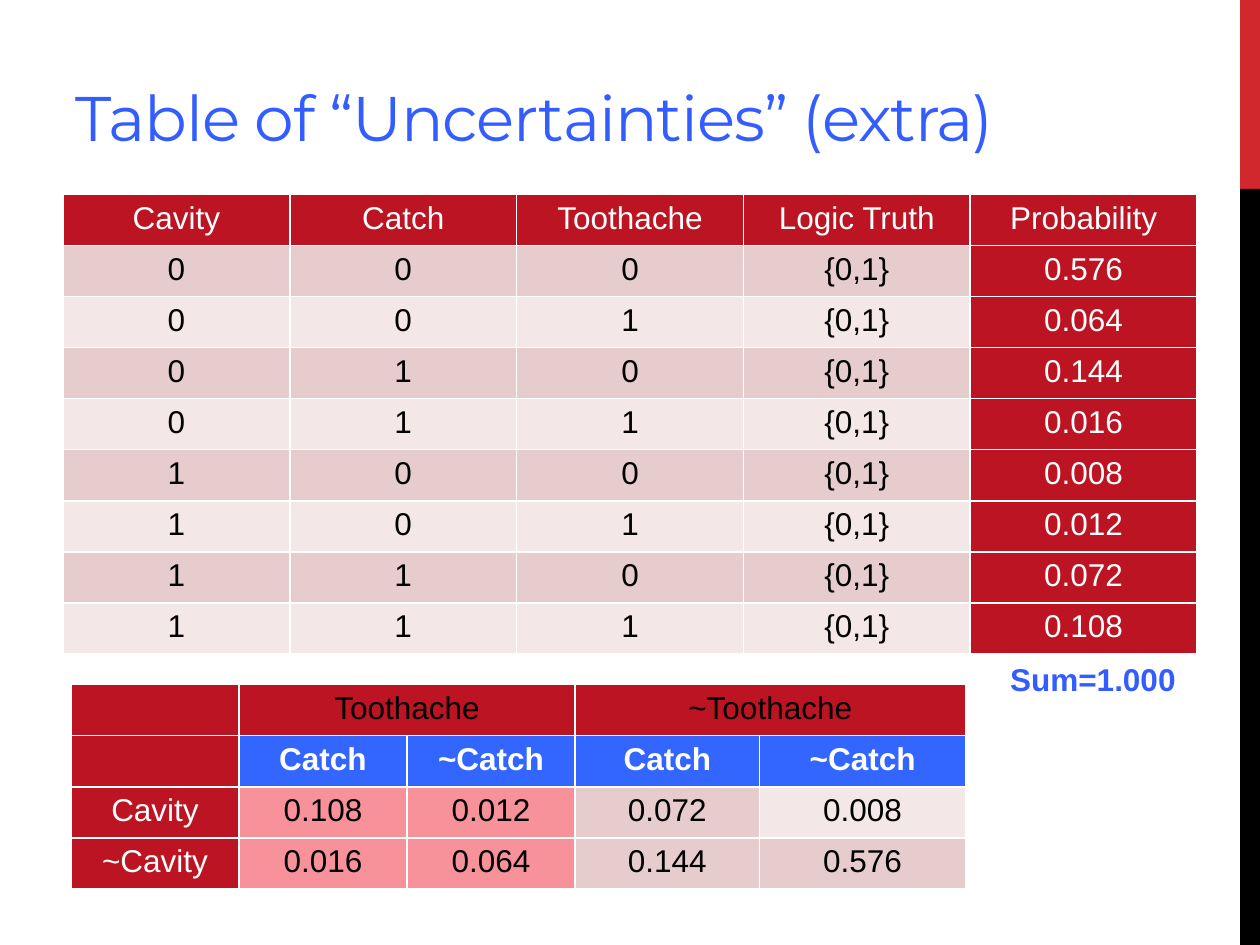
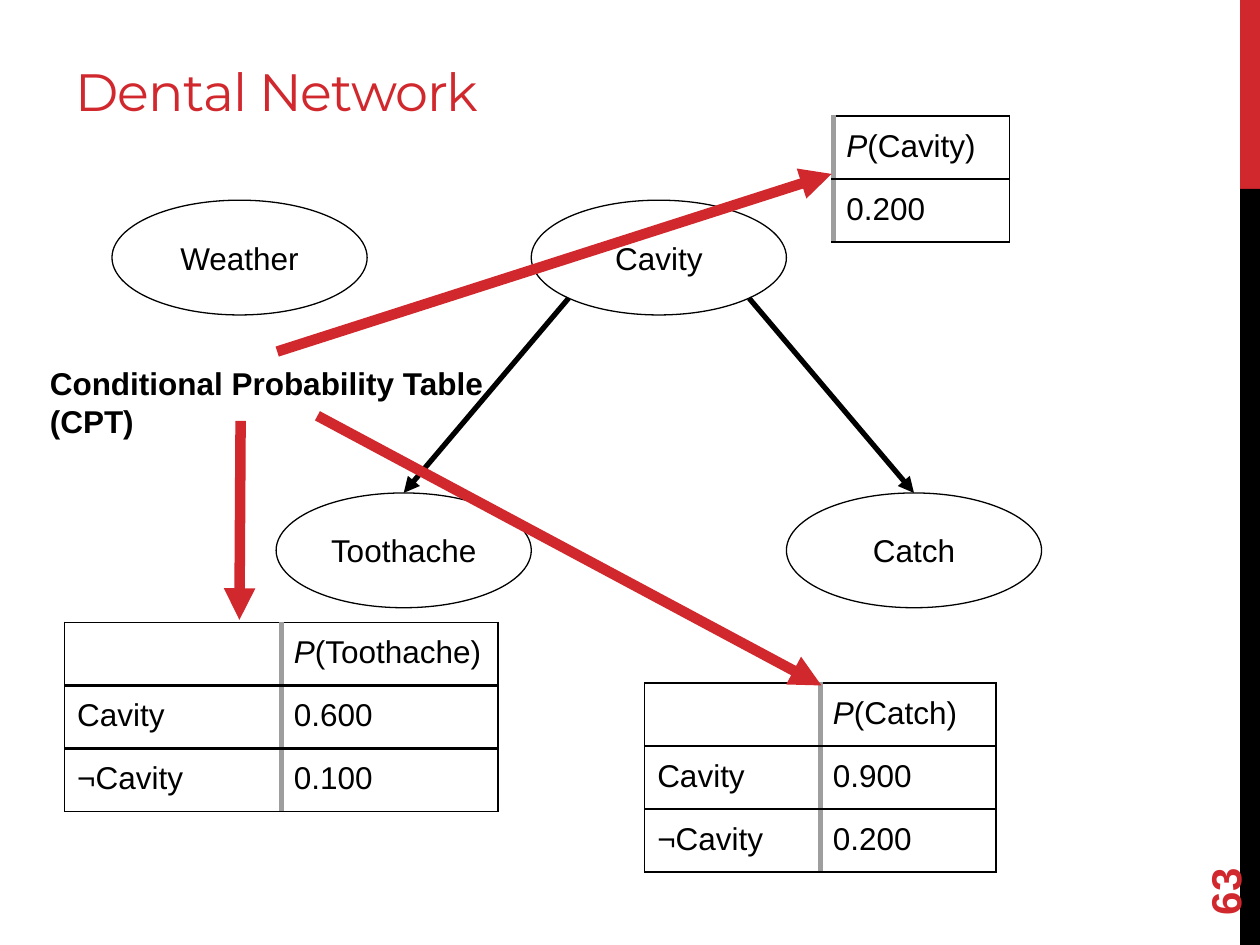
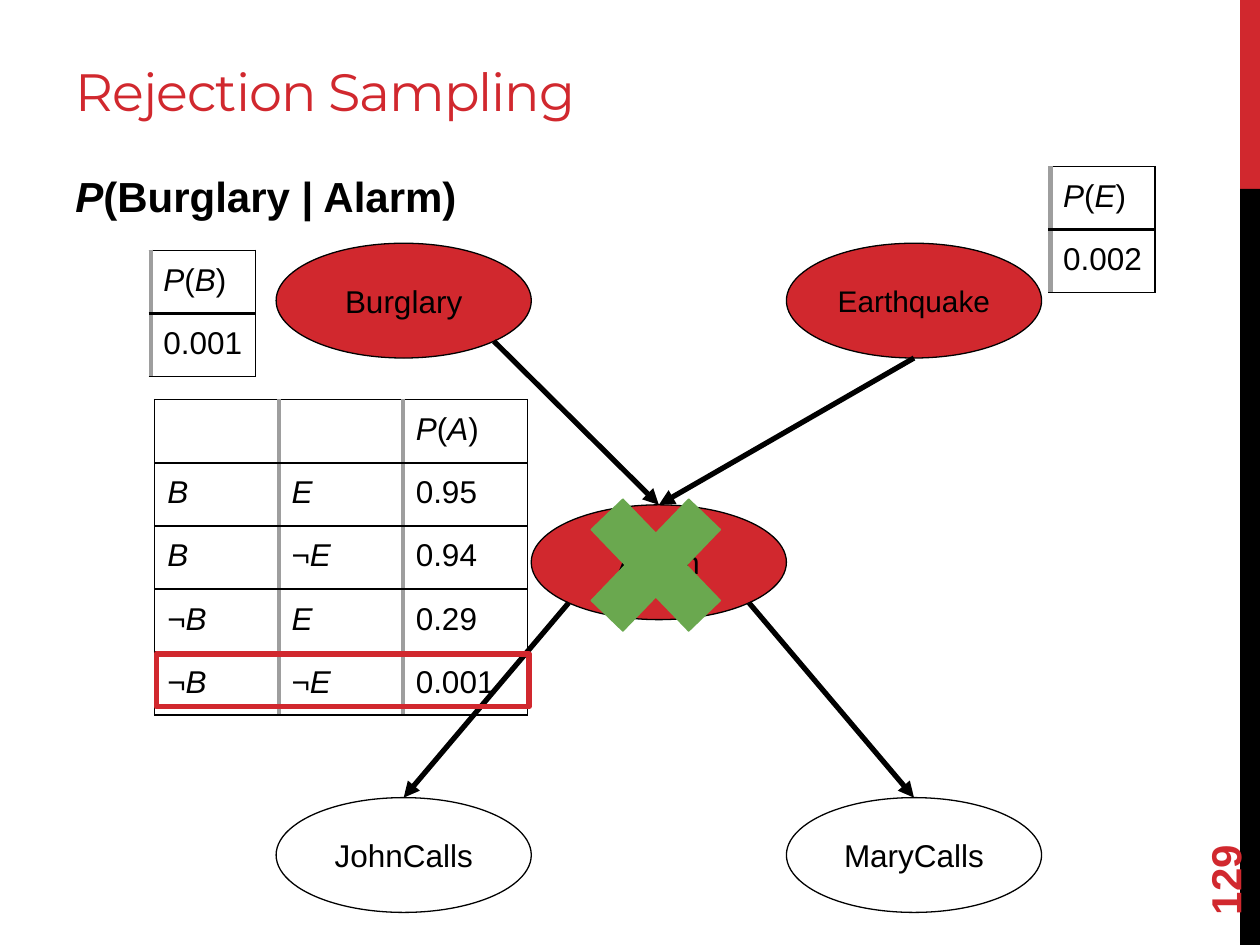
from itertools import product
from lxml.etree import SubElement
from pptx import Presentation
from pptx.dml.color import RGBColor
from pptx.enum.shapes import MSO_CONNECTOR, MSO_SHAPE
from pptx.enum.text import MSO_ANCHOR as Anchor, MSO_AUTO_SIZE as AutoSize, PP_ALIGN as Align
from pptx.oxml.ns import qn
from pptx.util import Pt

RED = RGBColor(0xD1, 0x28, 0x2E)
DEEP_RED = RGBColor(0xBC, 0x14, 0x22)
PINK = RGBColor(0xF7, 0x91, 0x9A)
ROSE = RGBColor(0xE7, 0xCC, 0xCD)
PALE_ROSE = RGBColor(0xF3, 0xE7, 0xE8)
BLUE = RGBColor(0x34, 0x5D, 0xFF)
HEADER_BLUE = RGBColor(0x33, 0x66, 0xFF)
GREEN = RGBColor(0x6A, 0xA8, 0x4F)
GREY = RGBColor(0x9E, 0x9E, 0x9E)
BLACK = RGBColor(0, 0, 0)
WHITE = RGBColor(0xFF, 0xFF, 0xFF)

BODY_FONT = "Arial"
TITLE_FONT = "Montserrat"
NODE_WIDTH, NODE_HEIGHT = 145.8, 65.6
LEFT, MIDDLE, RIGHT = (157.8 + NODE_WIDTH * column for column in range(3))
DIAGONAL = 0.3536
TRUTH_ROW, CPT_ROW = 29.2, 34.4
MARGIN = 7.2


def lengths(values):
    return [Pt(value) for value in values]


def set_font(paragraph, size, color, bold=False, name=BODY_FONT):
    font = paragraph.font
    font.name, font.size, font.bold = name, Pt(size), bold
    font.color.rgb = color


def write_runs(paragraph, text):
    for index, part in enumerate(text.split("*")):
        if part:
            run = paragraph.add_run()
            run.text = part
            if index % 2:
                run.font.italic = True


def set_margins(target, horizontal, vertical):
    target.margin_left = target.margin_right = Pt(horizontal)
    target.margin_top = target.margin_bottom = Pt(vertical)


def add_shape(slide, kind, box, fill=None, line=None, width=0.75):
    shape = slide.shapes.add_shape(kind, *lengths(box))
    shape.shadow.inherit = False
    if fill is None:
        shape.fill.background()
    else:
        shape.fill.solid()
        shape.fill.fore_color.rgb = fill
    if line is None:
        shape.line.fill.background()
    else:
        shape.line.color.rgb = line
        shape.line.width = Pt(width)
    return shape


def add_bands(slide, layout):
    for top, height, color in ((0, 108, RED), (108, 432, BLACK)):
        band = add_shape(slide, MSO_SHAPE.RECTANGLE, (708.6, top, 11.4, height), color)
        layout.shapes.element.append(band._element)


def add_title(slide, text, height, size, color, anchor, width):
    title = slide.shapes.title
    title.left, title.top, title.width, title.height = lengths((36, 12.2, width, height))
    frame = title.text_frame
    frame.word_wrap, frame.auto_size, frame.vertical_anchor = True, AutoSize.NONE, anchor
    set_margins(frame, MARGIN, 3.6)
    paragraph = frame.paragraphs[0]
    write_runs(paragraph, text)
    paragraph.alignment = Align.LEFT
    set_font(paragraph, size, color, name=TITLE_FONT)
    paragraph._p.pPr.find(qn("a:defRPr")).set("spc", "-60")


def add_section_title(slide, text):
    add_title(slide, text, 61.2, 30, RED, Anchor.BOTTOM, 636.5)


def add_text(slide, text, box, size, color=BLACK, wrap=True, margin=3.6, anchor=Anchor.TOP):
    textbox = slide.shapes.add_textbox(*lengths(box))
    frame = textbox.text_frame
    frame.word_wrap, frame.vertical_anchor = wrap, anchor
    set_margins(frame, MARGIN, margin)
    write_runs(frame.paragraphs[0], text)
    set_font(frame.paragraphs[0], size, color, bold=True)
    return textbox


def add_page_number(slide, number):
    textbox = add_text(slide, number, (648, 463.7, 103.7, 28.8), 24, RED, anchor=Anchor.MIDDLE)
    textbox.rotation = 270


def add_node(slide, text, left, top, fill=None, size=18):
    node = add_shape(slide, MSO_SHAPE.OVAL, (left, top, NODE_WIDTH, NODE_HEIGHT), fill, BLACK)
    frame = node.text_frame
    frame.vertical_anchor = Anchor.MIDDLE
    set_margins(frame, MARGIN, MARGIN)
    paragraph = frame.paragraphs[0]
    write_runs(paragraph, text)
    paragraph.alignment = Align.CENTER
    set_font(paragraph, size, BLACK)


def node_point(left, top, across, down):
    return left + NODE_WIDTH * (0.5 + across), top + NODE_HEIGHT * (0.5 + down)


def add_arrow(slide, start, end, color=BLACK, width=3):
    arrow = slide.shapes.add_connector(MSO_CONNECTOR.STRAIGHT, *lengths(start + end))
    arrow.line.color.rgb = color
    arrow.line.width = Pt(width)
    SubElement(arrow.line._get_or_add_ln(), qn("a:tailEnd"), type="triangle")
    SubElement(arrow._element.spPr, qn("a:effectLst"))


def add_fork(slide, top, child_top):
    for side, child_left in ((-DIAGONAL, LEFT), (DIAGONAL, RIGHT)):
        add_arrow(slide, node_point(MIDDLE, top, side, DIAGONAL),
                  node_point(child_left, child_top, 0, -0.5))


def add_table(slide, left, top, widths, row_height, row_count):
    frame = slide.shapes.add_table(row_count, len(widths),
                                   *lengths((left, top, sum(widths), row_height * row_count)))
    table = frame.table
    table.first_row = table.horz_banding = False
    for column, width in zip(table.columns, widths):
        column.width = Pt(width)
    for row in table.rows:
        row.height = Pt(row_height)
    return table


def set_borders(cell, left, right, top, bottom):
    properties = cell._tc.get_or_add_tcPr()
    sides = zip(("a:lnL", "a:lnR", "a:lnT", "a:lnB"), (left, right, top, bottom))
    for index, (tag, (color, width)) in enumerate(sides):
        line = SubElement(properties, qn(tag), w=str(Pt(width)))
        SubElement(SubElement(line, qn("a:solidFill")), qn("a:srgbClr"), val=str(color))
        properties.insert(index, line)


def fill_cell(cell, text, fill, color, bold=False):
    cell.fill.solid()
    cell.fill.fore_color.rgb = fill
    paragraph = cell.text_frame.paragraphs[0]
    write_runs(paragraph, text)
    paragraph.alignment = Align.CENTER
    set_font(paragraph, 18, color, bold)
    set_borders(cell, *[(WHITE, 1)] * 4)


def add_cpt(slide, left, top, column_width, rows):
    column_count = len(rows[0])
    table = add_table(slide, left, top, [column_width] * column_count, CPT_ROW, len(rows))
    outer, inner, divider = (BLACK, 1), (BLACK, 1.5), (GREY, 3)
    for row_index, row in enumerate(rows):
        for column_index, text in enumerate(row):
            cell = table.cell(row_index, column_index)
            cell.fill.background()
            set_margins(cell, MARGIN, MARGIN)
            write_runs(cell.text_frame.paragraphs[0], text)
            set_font(cell.text_frame.paragraphs[0], 18, BLACK)
            set_borders(
                cell,
                divider if column_index or column_count == 1 else outer,
                divider if column_index < column_count - 1 else outer,
                inner if row_index else outer,
                inner if row_index < len(rows) - 1 else outer)


def add_truth_table(slide):
    headers = ("Cavity", "Catch", "Toothache", "Logic Truth", "Probability")
    probabilities = ("0.576", "0.064", "0.144", "0.016", "0.008", "0.012", "0.072", "0.108")
    table = add_table(slide, 36, 111, [129.6] * 5, TRUTH_ROW, 9)
    for column, header in enumerate(headers):
        fill_cell(table.cell(0, column), header, DEEP_RED, WHITE)
    for row, (bits, probability) in enumerate(zip(product("01", repeat=3), probabilities), 1):
        for column, text in enumerate(bits + ("{0,1}",)):
            fill_cell(table.cell(row, column), text, ROSE if row % 2 else PALE_ROSE, BLACK)
        fill_cell(table.cell(row, 4), probability, DEEP_RED, WHITE)


def add_joint_table(slide):
    rows = (("", "Toothache", "", "~Toothache", ""),
            ("", "Catch", "~Catch", "Catch", "~Catch"),
            ("Cavity", "0.108", "0.012", "0.072", "0.008"),
            ("~Cavity", "0.016", "0.064", "0.144", "0.576"))
    value_fills = ((PINK, PINK, ROSE, PALE_ROSE), (PINK, PINK, ROSE, ROSE))
    fills = ([DEEP_RED] * 4, [HEADER_BLUE] * 4) + value_fills
    table = add_table(slide, 40.6, 391.2, (96, 96, 96, 105.6, 117.6), TRUTH_ROW, 4)
    for row, texts in enumerate(rows):
        fill_cell(table.cell(row, 0), texts[0], DEEP_RED, WHITE)
        for column in range(1, 5):
            is_catch = row == 1
            fill_cell(table.cell(row, column), texts[column], fills[row][column - 1],
                      WHITE if is_catch else BLACK, is_catch)
    for column in (1, 3):
        table.cell(0, column).merge(table.cell(0, column + 1))


def build_uncertainties(slide):
    add_title(slide, "Table of “Uncertainties” (extra)", 108, 36, BLUE, Anchor.MIDDLE, 657.4)
    add_truth_table(slide)
    add_text(slide, "Sum=1.000", (570.2, 373.7, 110.2, 28.8), 18, BLUE, wrap=False)
    add_joint_table(slide)


def build_dental_network(slide):
    add_section_title(slide, "Dental Network")
    add_page_number(slide, "63")
    parent_top, child_top = 114.4, 281.7
    for text, left, top in (("Weather", 64, parent_top), ("Cavity", MIDDLE, parent_top),
                            ("Toothache", LEFT, child_top), ("Catch", RIGHT, child_top)):
        add_node(slide, text, left, top)
    add_fork(slide, parent_top, child_top)
    add_cpt(slide, 36.9, 355.7, 123.8,
            (("", "*P*(Toothache)"), ("Cavity", "0.600"), ("¬Cavity", "0.100")))
    add_cpt(slide, 368.4, 390.3, 100.4,
            (("", "*P*(Catch)"), ("Cavity", "0.900"), ("¬Cavity", "0.200")))
    add_cpt(slide, 476.4, 66.3, 100.4, (("*P*(Cavity)",), ("0.200",)))
    add_text(slide, "Conditional Probability Table (CPT)", (21.4, 200.9, 274.3, 61.2), 18,
             margin=MARGIN)
    for start, end in (((137.5, 240.5), (136.8, 354.2)), ((158.4, 200.9), (475.2, 99.4)),
                       ((181.4, 237.6), (469.4, 391.7))):
        add_arrow(slide, start, end, RED, 6)


def build_rejection_sampling(slide):
    add_section_title(slide, "Rejection Sampling")
    add_page_number(slide, "129")
    query = add_text(slide, "*P*(Burglary | Alarm)", (36, 93.6, 636.5, 435.6), 24)
    query.text_frame.paragraphs[0].space_before = Pt(10.8)
    cause_top, alarm_top, call_top = 139, 288.5, 455.8
    add_node(slide, "Burglary", LEFT, cause_top, RED)
    add_node(slide, "Earthquake", RIGHT, cause_top, RED, 17)
    add_node(slide, "Alarm", MIDDLE, alarm_top, RED)
    add_node(slide, "JohnCalls", LEFT, call_top)
    add_node(slide, "MaryCalls", RIGHT, call_top)
    add_fork(slide, alarm_top, call_top)
    alarm_point = node_point(MIDDLE, alarm_top, 0, -0.5)
    add_arrow(slide, node_point(LEFT, cause_top, DIAGONAL, DIAGONAL), alarm_point)
    add_arrow(slide, node_point(RIGHT, cause_top, 0, 0.5), alarm_point)
    add_cpt(slide, 88.4, 228.4, 71,
            (("", "", "*P*(*A*)"), ("*B*", "*E*", "0.95"), ("*B*", "*¬E*", "0.94"),
             ("*¬B*", "*E*", "0.29"), ("*¬B*", "*¬E*", "0.001")))
    add_cpt(slide, 600.3, 95.2, 59.8, (("*P*(*E*)",), ("0.002",)))
    add_cpt(slide, 86.2, 143.1, 59.8, (("*P*(*B*)",), ("0.001",)))
    add_shape(slide, MSO_SHAPE.RECTANGLE, (89.3, 373.7, 213.1, 30.2), line=RED, width=3)
    cross = add_shape(slide, MSO_SHAPE.MATH_MULTIPLY, (321.1, 267.1, 107.3, 111.6), GREEN, GREEN)
    cross.adjustments[0] = 0.235


def main():
    presentation = Presentation()
    presentation.slide_width, presentation.slide_height = Pt(720), Pt(540)
    layout = presentation.slide_layouts[5]
    builders = (build_uncertainties, build_dental_network, build_rejection_sampling)
    slides = [presentation.slides.add_slide(layout) for builder in builders]
    add_bands(slides[0], layout)
    for builder, slide in zip(builders, slides):
        builder(slide)
    presentation.save("out.pptx")


if __name__ == "__main__":
    main()
